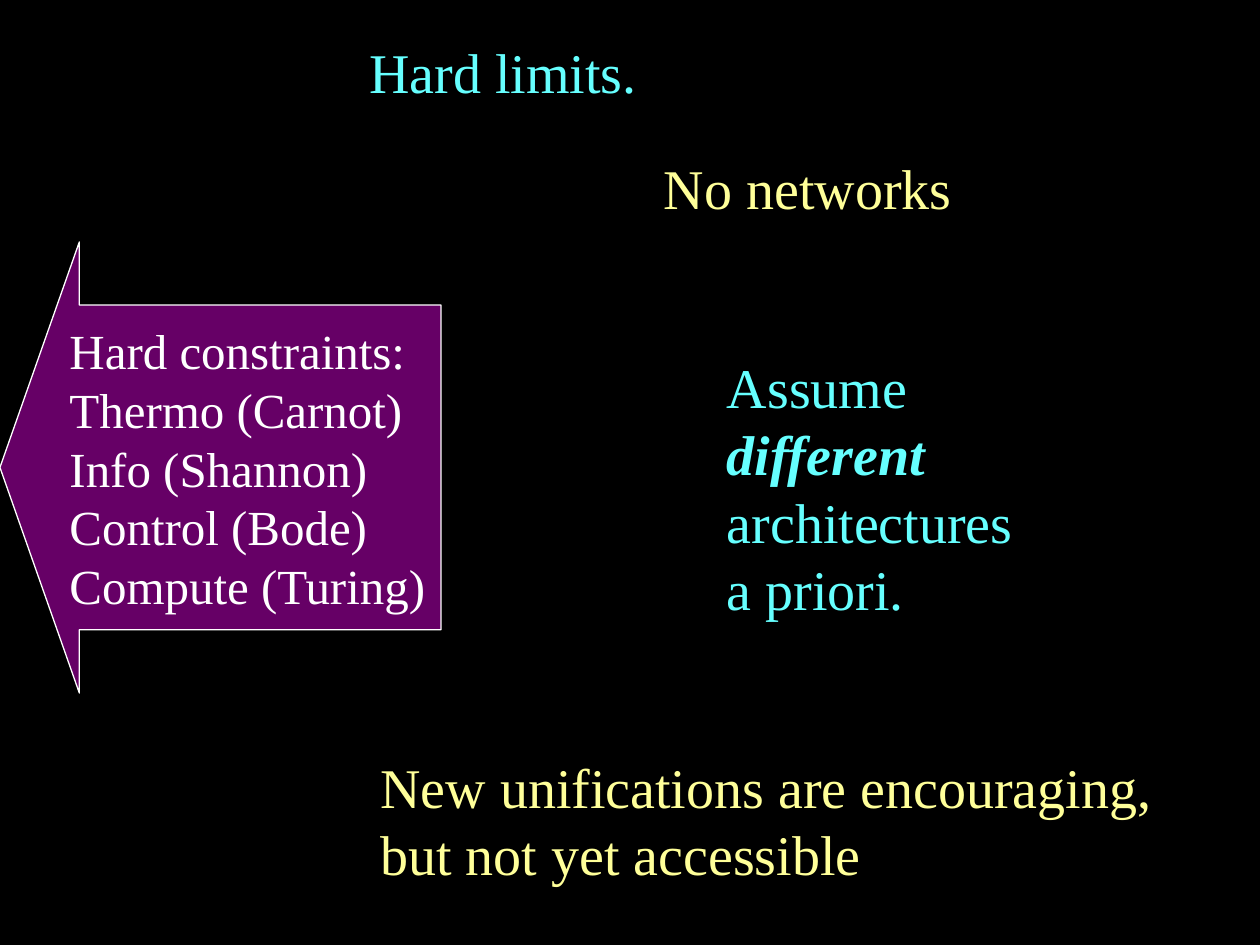
"""Builds the slide on hard limits and separate architectures."""
from pptx import Presentation
from pptx import util as u
from pptx.dml.color import RGBColor
from pptx.enum import shapes, text

BLACK = RGBColor(0x00, 0x00, 0x00)
WHITE = RGBColor(0xFF, 0xFF, 0xFF)
CYAN = RGBColor(0x66, 0xFF, 0xFF)
YELLOW = RGBColor(0xFF, 0xFF, 0x99)
PURPLE = RGBColor(0x66, 0x00, 0x66)
FONT = "Times New Roman"
CONSTRAINTS = ["Hard constraints:", "Thermo (Carnot)", "Info (Shannon)",
               "Control (Bode)", "Compute (Turing)"]


def fill_solid(shape, color):
    shape.fill.solid()
    shape.fill.fore_color.rgb = color


def style_paragraph(paragraph, size, color):
    paragraph.alignment = text.PP_ALIGN.LEFT
    paragraph.line_spacing = 1.0
    paragraph.font.name = FONT
    paragraph.font.size = u.Pt(size)
    paragraph.font.color.rgb = color


def write_statement(shape, runs, color):
    fill_solid(shape, BLACK)
    frame = shape.text_frame
    frame.word_wrap = True
    frame.auto_size = text.MSO_AUTO_SIZE.NONE
    frame.vertical_anchor = text.MSO_ANCHOR.TOP
    paragraph = frame.paragraphs[0]
    style_paragraph(paragraph, 32, color)
    for words, emphasized in runs:
        run = paragraph.add_run()
        run.text = words
        if emphasized:
            run.font.bold = run.font.italic = True


def add_title(slide, words, left, top, width, height):
    title = slide.shapes.title
    title.left, title.top = u.Inches(left), u.Inches(top)
    title.width, title.height = u.Inches(width), u.Inches(height)
    write_statement(title, [(words, False)], CYAN)


def add_statement(slide, runs, color, left, top, width, height):
    box = slide.shapes.add_textbox(*map(u.Inches, (left, top, width, height)))
    write_statement(box, runs, color)


def add_constraint_arrow(slide, lines, left, top, width, height):
    arrow = slide.shapes.add_shape(
        shapes.MSO_SHAPE.LEFT_ARROW,
        *map(u.Inches, (left, top, width, height)))
    arrow.adjustments[0] = 0.72
    arrow.adjustments[1] = 0.18
    arrow.shadow.inherit = False
    fill_solid(arrow, PURPLE)
    arrow.line.color.rgb = WHITE
    arrow.line.width = u.Pt(0.75)
    frame = arrow.text_frame
    frame.word_wrap = False
    frame.vertical_anchor = text.MSO_ANCHOR.MIDDLE
    frame.text = "\n".join(lines)
    for paragraph in frame.paragraphs:
        style_paragraph(paragraph, 28, WHITE)


def main():
    presentation = Presentation()
    presentation.slide_width = u.Inches(10)
    presentation.slide_height = u.Inches(7.5)
    slide = presentation.slides.add_slide(presentation.slide_layouts[5])
    fill_solid(slide.background, BLACK)

    add_title(slide, "Hard limits.", 2.83, 0.25, 4.17, 0.63)
    add_statement(slide, [("No networks", False)], YELLOW,
                  5.17, 1.17, 2.5, 0.63)
    add_statement(slide, [("Assume ", False), ("different", True),
                          (" architectures a priori.", False)], CYAN,
                  5.67, 2.75, 2.67, 2.23)
    add_statement(slide, [("New unifications are encouraging, "
                           "but not yet accessible", False)], YELLOW,
                  2.92, 5.92, 6.92, 1.17)
    add_constraint_arrow(slide, CONSTRAINTS, 0, 1.92, 3.5, 3.58)
    presentation.save("out.pptx")


if __name__ == "__main__":
    main()
